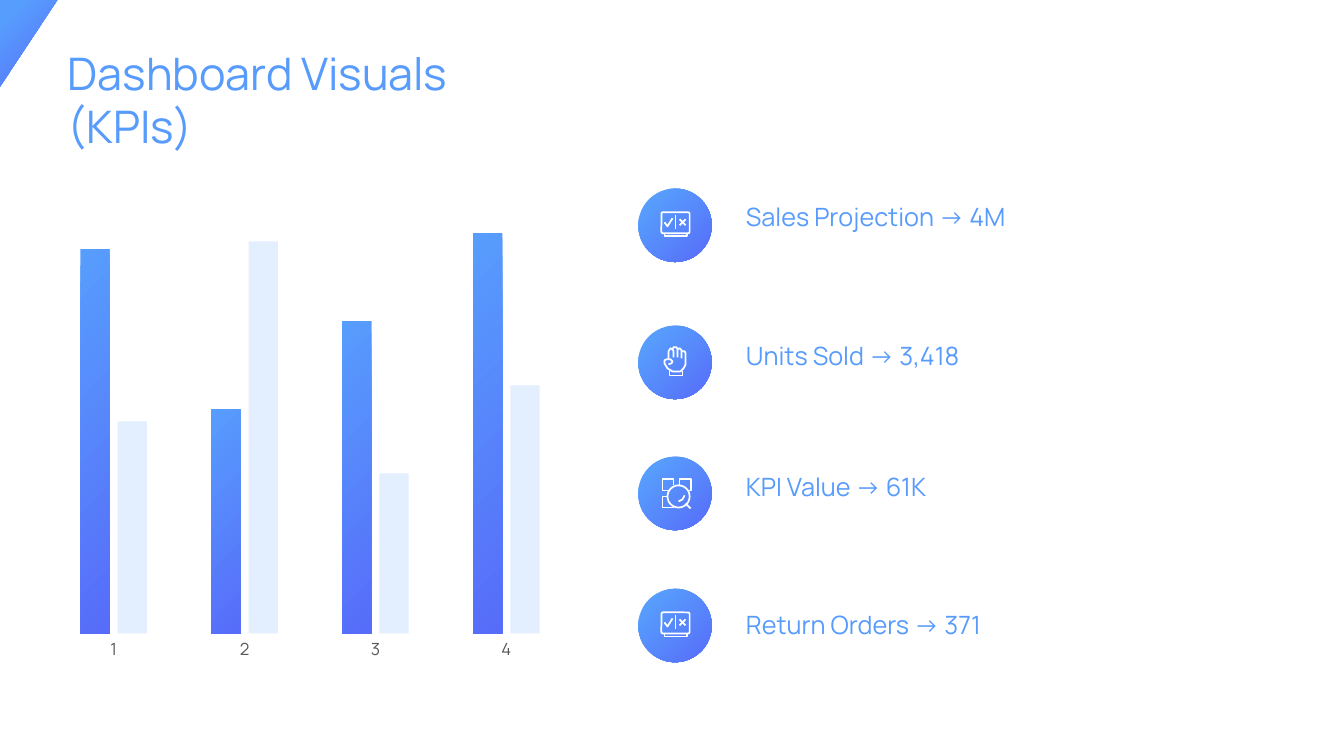
import pptx
import pptx.util
import pptx.chart.data
import pptx.dml.color
import pptx.enum.chart
import pptx.enum.shapes
import pptx.enum.text
import pptx.oxml
import lxml.etree

Inches = pptx.util.Inches
Pt = pptx.util.Pt
shape_types = pptx.enum.shapes.MSO_SHAPE
COLORS = {"light": "579DFD", "dark": "576CF9", "text": "579BFD",
          "pale": "73ABFD", "axis": "595959", "white": "FFFFFF"}
RGB = {name: pptx.dml.color.RGBColor.from_string(value) for name, value in COLORS.items()}


def fill_gradient(fill, start):
    fill.gradient()
    fill.gradient_angle = 315
    for stop, position, color in zip(fill.gradient_stops, (start, 1), ("light", "dark")):
        stop.position = position
        stop.color.rgb = RGB[color]


def write_text(shape, box, text, size):
    for name, value in zip(("left", "top", "width", "height"), box):
        setattr(shape, name, Inches(value))
    frame = shape.text_frame
    frame.text = text
    frame_format = {"word_wrap": True,
                    "vertical_anchor": pptx.enum.text.MSO_ANCHOR.TOP,
                    "auto_size": pptx.enum.text.MSO_AUTO_SIZE.SHAPE_TO_FIT_TEXT}
    for name, value in frame_format.items():
        setattr(frame, name, value)
    paragraph = frame.paragraphs[0]
    paragraph.alignment = pptx.enum.text.PP_ALIGN.LEFT
    for name, value in {"name": "Manrope", "size": Pt(size), "bold": False}.items():
        setattr(paragraph.font, name, value)
    paragraph.font.color.rgb = RGB["text"]


presentation = pptx.Presentation()
presentation.slide_width = Inches(13.33)
presentation.slide_height = Inches(7.5)
slide = presentation.slides.add_slide(presentation.slide_layouts[5])
write_text(slide.shapes.title, (0.57, 0.4, 4.46, 1.18), "Dashboard Visuals (KPIs)", 32)

builder = slide.shapes.build_freeform(0, 0, scale=1.0)
builder.add_line_segments([(Inches(0.57), 0), (0, Inches(0.86))], close=True)
corner = builder.convert_to_shape()
corner.shadow.inherit = False
corner.line.fill.background()
fill_gradient(corner.fill, 0.17)

chart_data = pptx.chart.data.CategoryChartData()
chart_data.categories = ["1", "2", "3", "4"]
chart_data.add_series("Series 1", (96, 56, 78, 100))
chart_data.add_series("Series 2", (53, 98, 40, 62))
chart = slide.shapes.add_chart(
    pptx.enum.chart.XL_CHART_TYPE.COLUMN_CLUSTERED,
    Inches(0.37), Inches(1.78), Inches(5.41), Inches(4.87), chart_data).chart
chart.has_legend = False
chart.has_title = False
chart.font.name = "Manrope"
chart.font.size = Pt(10)

value_axis = chart.value_axis
value_format = {"minimum_scale": 0, "maximum_scale": 100,
                "has_major_gridlines": False, "visible": False}
for name, value in value_format.items():
    setattr(value_axis, name, value)
category_axis = chart.category_axis
category_axis.major_tick_mark = pptx.enum.chart.XL_TICK_MARK.NONE
category_axis.format.line.fill.background()
category_font = category_axis.tick_labels.font
for name, value in {"name": "Manrope", "size": Pt(12)}.items():
    setattr(category_font, name, value)
category_font.color.rgb = RGB["axis"]

plot = chart.plots[0]
for name, value in {"gap_width": 219, "overlap": -27, "vary_by_categories": False}.items():
    setattr(plot, name, value)
projected, actual = plot.series
fill_gradient(projected.format.fill, 0)
actual.format.fill.solid()
actual.format.fill.fore_color.rgb = RGB["pale"]
pale_color = actual.format.fill._xPr.find(".//" + pptx.oxml.ns.qn("a:srgbClr"))
lxml.etree.SubElement(pale_color, pptx.oxml.ns.qn("a:alpha"), val="20000")

plot_area = plot._element.getparent()
for old_layout in plot_area.findall(pptx.oxml.ns.qn("c:layout")):
    plot_area.remove(old_layout)
layout = lxml.etree.Element(pptx.oxml.ns.qn("c:layout"))
manual = lxml.etree.SubElement(layout, pptx.oxml.ns.qn("c:manualLayout"))
layout_values = {"layoutTarget": "inner", "xMode": "edge", "yMode": "edge",
                 "x": "0.02", "y": "0.11", "w": "0.96", "h": "0.815"}
for name, value in layout_values.items():
    lxml.etree.SubElement(manual, pptx.oxml.ns.qn("c:" + name), val=value)
plot_area.insert(0, layout)

SCREEN = {
    "outlines": [(shape_types.ROUNDED_RECTANGLE, -0.14, -0.13, 0.28, 0.21)],
    "strokes": [
        [(-0.11, 0.08), (-0.11, 0.11), (0.11, 0.11), (0.11, 0.08)],
        [(-0.11, -0.03), (-0.08, 0.01), (-0.03, -0.07)],
        [(0, -0.1), (0, 0.04)],
        [(0.04, -0.06), (0.1, 0)],
        [(0.1, -0.06), (0.04, 0)],
    ],
}
HAND = {
    "outlines": [],
    "strokes": [
        [(-0.07, -0.03), (-0.07, -0.11), (-0.05, -0.14), (-0.03, -0.13),
         (-0.02, -0.11), (-0.02, -0.05)],
        [(-0.03, -0.13), (-0.02, -0.15), (0.01, -0.15), (0.02, -0.13), (0.02, -0.05)],
        [(0.02, -0.13), (0.04, -0.14), (0.06, -0.12), (0.06, -0.04)],
        [(0.06, -0.11), (0.09, -0.11), (0.1, -0.09), (0.1, 0.02), (0.08, 0.06),
         (0.05, 0.09), (-0.03, 0.09), (-0.08, 0.06), (-0.11, 0.01), (-0.11, -0.02),
         (-0.09, -0.03), (-0.05, -0.03), (-0.03, -0.01), (-0.04, 0.01), (-0.07, 0.02)],
        [(-0.06, 0.09), (-0.06, 0.13), (0.07, 0.13), (0.07, 0.09)],
    ],
}
SEARCH = {
    "outlines": [(shape_types.OVAL, -0.08, -0.08, 0.22, 0.22)],
    "strokes": [
        [(-0.07, -0.03), (-0.13, -0.03), (-0.13, -0.14), (-0.02, -0.14), (-0.02, -0.08)],
        [(0.04, -0.08), (0.04, -0.14), (0.15, -0.14), (0.15, -0.03), (0.13, -0.03)],
        [(-0.08, 0.03), (-0.13, 0.03), (-0.13, 0.14), (-0.02, 0.14), (-0.02, 0.13)],
        [(0.1, 0.1), (0.15, 0.15)],
        [(0.03, 0.08), (0.07, 0.06), (0.09, 0.02)],
    ],
}

DIAMETER = 0.73
CENTER_X = 6.7
kpis = [("Sales Projection → 4M", 1.87, 1.95, 4.64, SCREEN),
        ("Units Sold → 3,418", 3.23, 3.33, 2.5, HAND),
        ("KPI Value → 61K", 4.53, 4.63, 2.5, SEARCH),
        ("Return Orders → 371", 5.84, 6, 3.22, SCREEN)]
for text, circle_top, text_top, text_width, icon in kpis:
    circle = slide.shapes.add_shape(shape_types.OVAL, Inches(6.33), Inches(circle_top),
                                    Inches(DIAMETER), Inches(DIAMETER))
    circle.shadow.inherit = False
    circle.line.fill.background()
    fill_gradient(circle.fill, 0.17)

    center_y = circle_top + DIAMETER / 2
    group = slide.shapes.add_group_shape()
    parts = []
    for kind, left, top, width, height in icon["outlines"]:
        outline = group.shapes.add_shape(kind, Inches(CENTER_X + left), Inches(center_y + top),
                                         Inches(width), Inches(height))
        if kind == shape_types.ROUNDED_RECTANGLE:
            outline.adjustments[0] = 0.08
        parts.append(outline)
    for stroke in icon["strokes"]:
        points = [(Inches(CENTER_X + x), Inches(center_y + y)) for x, y in stroke]
        builder = group.shapes.build_freeform(*points[0], scale=1.0)
        builder.add_line_segments(points[1:], close=False)
        parts.append(builder.convert_to_shape())
    for part in parts:
        part.shadow.inherit = False
        part.fill.background()
        part.line.color.rgb = RGB["white"]
        part.line.width = Pt(1.25)

    label = slide.shapes.add_textbox(0, 0, 0, 0)
    write_text(label, (7.3, text_top, text_width, 0.4), text, 18)

presentation.save("out.pptx")
